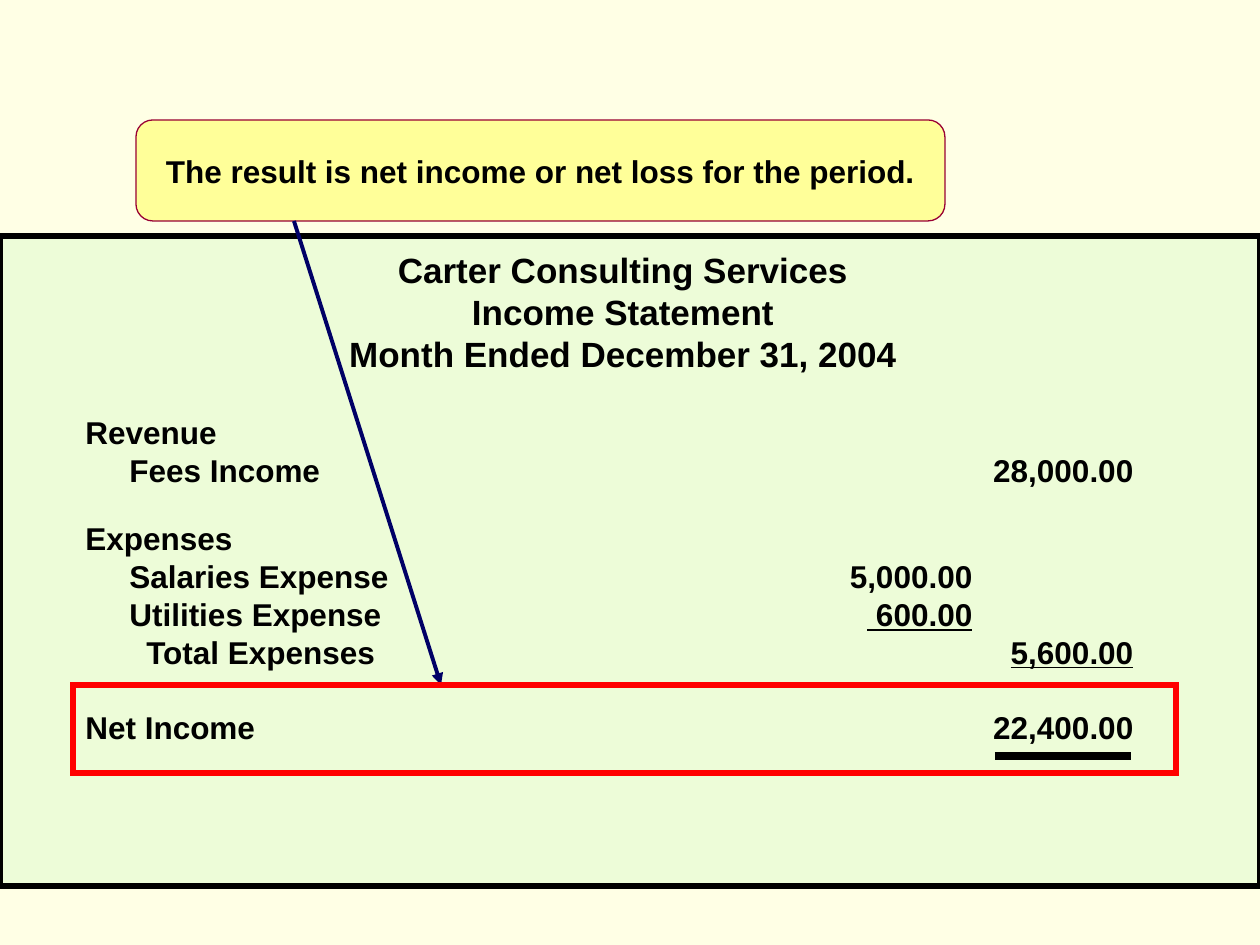
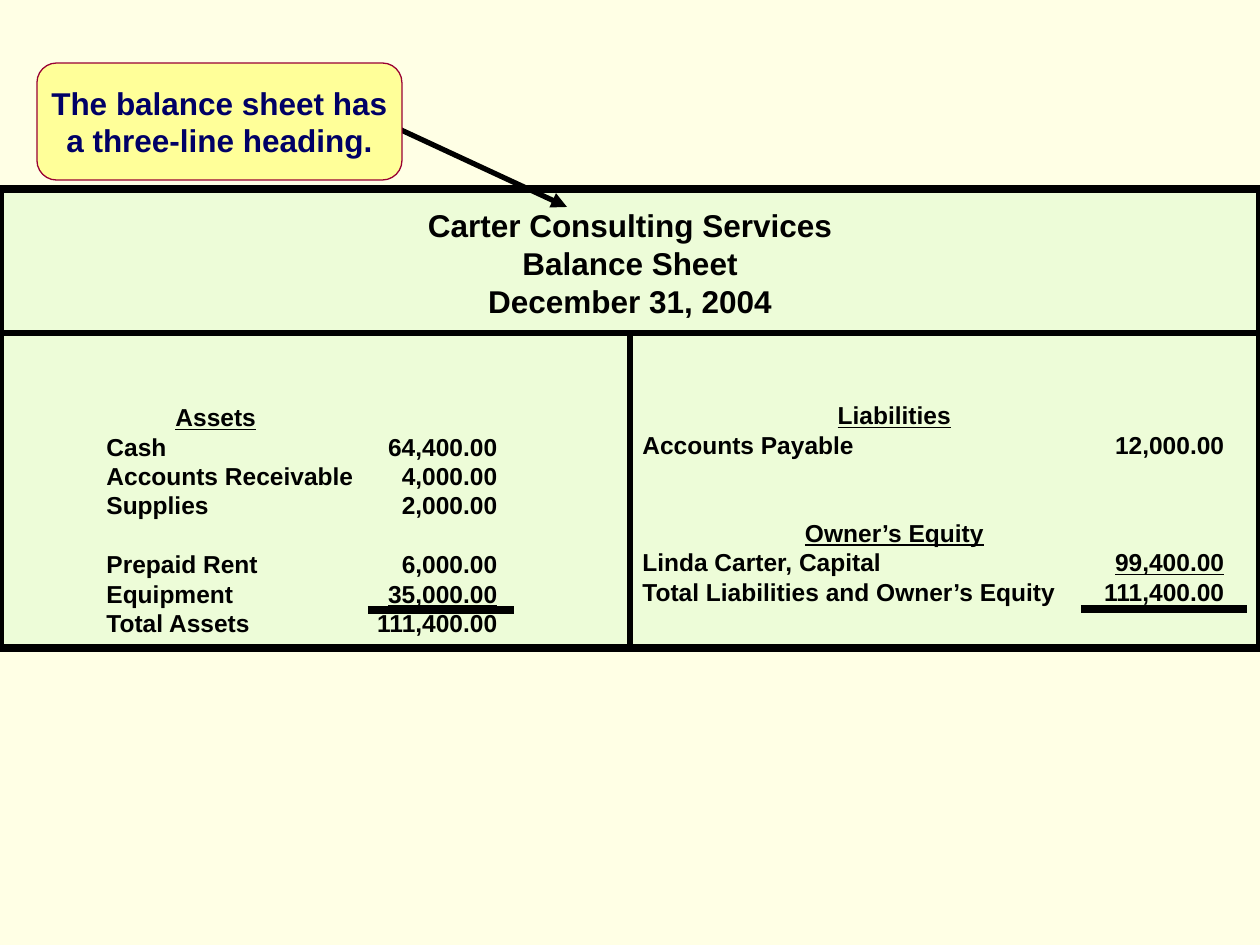
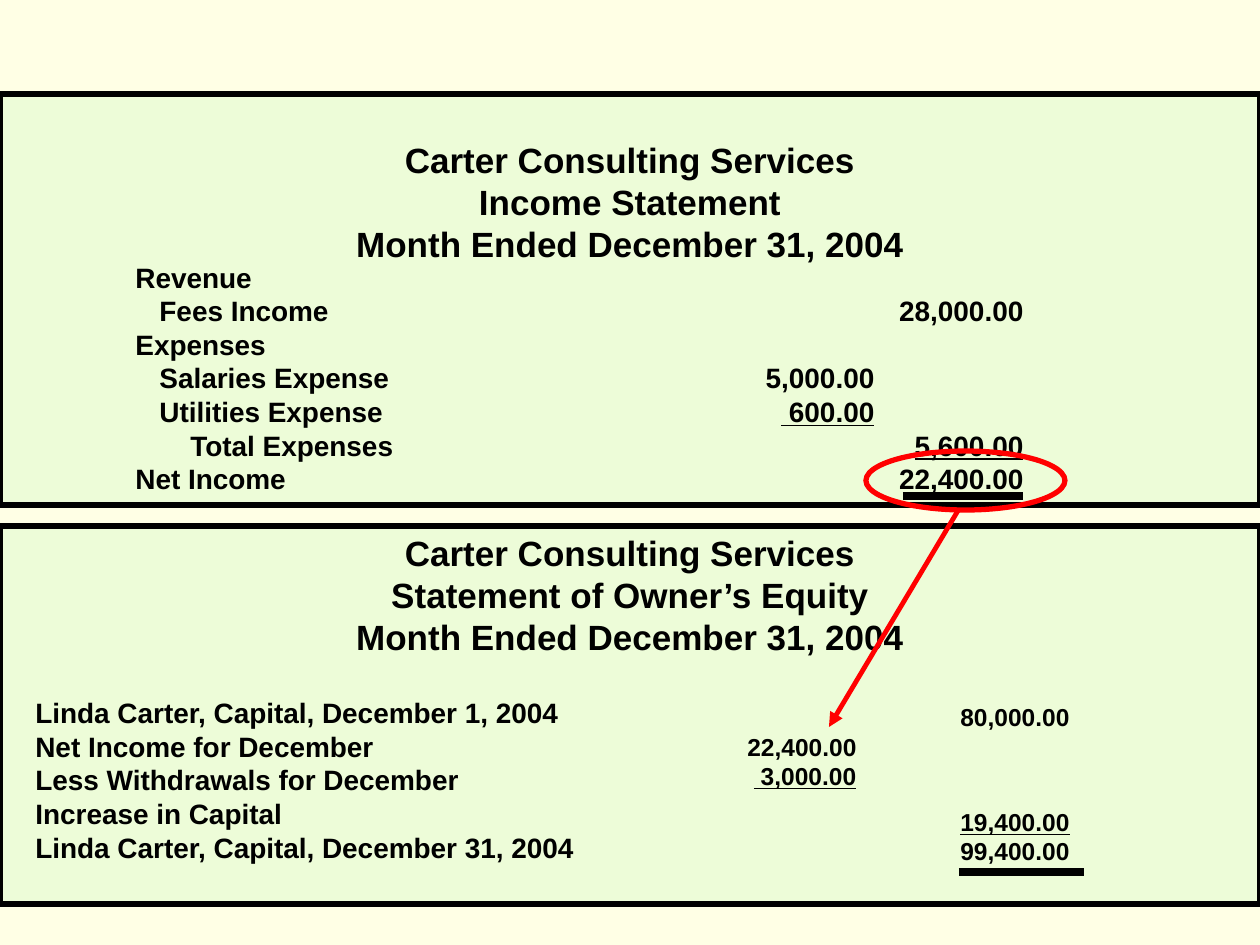
from typing import NamedTuple

from lxml.etree import SubElement
from pptx import Presentation
from pptx.dml.color import RGBColor
from pptx.enum.shapes import MSO_CONNECTOR as Link, MSO_SHAPE as Form
from pptx.enum.text import MSO_ANCHOR as Anchor, PP_ALIGN as Align
from pptx.oxml.ns import qn
from pptx.util import Emu, Pt

CREAM = RGBColor(0xFF, 0xFF, 0xE5)
MINT = RGBColor(0xED, 0xFC, 0xD8)
YELLOW = RGBColor(0xFF, 0xFF, 0x99)
WINE = RGBColor(0x99, 0x00, 0x33)
NAVY = RGBColor(0x00, 0x00, 0x66)
RED = RGBColor(0xFF, 0x00, 0x00)
BLACK = RGBColor(0x00, 0x00, 0x00)

FONT = "Arial"
SCALE = 914400 / 126
WIDE, HIGH = 1260, 945
INSET = 13
UNDER = "_"
BOTTOM = 2


class Row(NamedTuple):
    text: str
    before: float = 0
    tabs: tuple = ()


FIRM = "Carter Consulting Services"
MONTH = "Month Ended December 31, 2004"
INCOME_HEAD = (FIRM, "Income Statement", MONTH)
BALANCE_HEAD = (FIRM, "Balance Sheet", "December 31, 2004")
EQUITY_HEAD = (FIRM, "Statement of Owner’s Equity", MONTH)

REVENUE = ("Revenue", "\tFees Income\t\t28,000.00")
EXPENSES = (
    "Expenses",
    "\tSalaries Expense\t5,000.00",
    "\tUtilities Expense\t_ 600.00_",
    "\t\tTotal Expenses\t\t_5,600.00_",
)
PROFIT = ("Net Income\t\t22,400.00",)
CAPITAL = (
    Row("Linda Carter, Capital, December 1, 2004", before=21.6),
    "Net Income for December",
    "Less Withdrawals for December",
    "Increase in Capital",
    "Linda Carter, Capital, December 31, 2004",
)


def px(value):
    return Emu(round(value * SCALE))


def stops(left, starts=(), mids=(), ends=()):
    kinds = (("l", starts), ("ctr", mids), ("r", ends))
    return tuple((x - left - INSET, kind) for kind, places in kinds for x in places)


def set_tabs(para, tabs):
    if tabs:
        group = SubElement(para._p.get_or_add_pPr(), qn("a:tabLst"))
        for place, kind in tabs:
            SubElement(group, qn("a:tab"), pos=str(px(place)), algn=kind)


def write(frame, rows, size=18, color=BLACK, align=Align.LEFT, tabs=(), indent=0):
    for item in rows:
        row = item if isinstance(item, Row) else Row(item)
        first = frame.paragraphs[0]
        para = frame.add_paragraph() if first.runs else first
        para.alignment = align
        if indent:
            para._p.get_or_add_pPr().set("marL", str(px(indent)))
        if row.before:
            para.space_before = Pt(row.before)
        set_tabs(para, row.tabs or tabs)
        for index, part in enumerate(row.text.split(UNDER)):
            if part:
                run = para.add_run()
                run.text = part
                font = run.font
                font.name, font.size, font.bold = FONT, Pt(size), True
                font.underline = index % 2 == 1
                font.color.rgb = color


def text(slide, box, rows, **style):
    frame = slide.shapes.add_textbox(*map(px, box)).text_frame
    frame.word_wrap = True
    write(frame, rows, **style)


def shape(slide, form, box, fill=None, line=None, weight=3):
    item = slide.shapes.add_shape(form, *map(px, box))
    item.shadow.inherit = False
    if fill is None:
        item.fill.background()
    else:
        item.fill.solid()
        item.fill.fore_color.rgb = fill
    if line is None:
        item.line.fill.background()
    else:
        item.line.color.rgb = line
        item.line.width = Pt(weight)
        SubElement(item.line._get_or_add_ln(), qn("a:miter"), lim="800000")
    item.text_frame.vertical_anchor = Anchor.TOP
    return item


def panel(slide, top, height, weight=3):
    return shape(slide, Form.RECTANGLE, (0, top, WIDE, height), MINT, BLACK, weight)


def titled(slide, top, height, head, margin=6):
    frame = panel(slide, top, height).text_frame
    frame.margin_top = px(margin)
    write(frame, head, size=20, align=Align.CENTER)
    return frame


def callout(slide, box, rows, color=BLACK):
    frame = shape(slide, Form.ROUNDED_RECTANGLE, box, YELLOW, WINE, 0.75).text_frame
    frame.vertical_anchor = Anchor.MIDDLE
    frame.word_wrap = False
    write(frame, rows, color=color, align=Align.CENTER)


def figures(slide, box, end, rows, margin=6):
    frame = shape(slide, Form.RECTANGLE, box, MINT).text_frame
    frame.margin_top = px(margin)
    write(frame, rows, size=14, tabs=stops(box[0], ends=(end,)))


def line(slide, start, end, color=BLACK, weight=3, arrow=False):
    item = slide.shapes.add_connector(Link.STRAIGHT, *map(px, start + end))
    item.line.color.rgb = color
    item.line.width = Pt(weight)
    if arrow:
        SubElement(item.line._get_or_add_ln(), qn("a:tailEnd"), type="triangle")
    SubElement(item._element.spPr, qn("a:effectLst"))
    return item


def total_bar(slide, left, right, y):
    line(slide, (left, y), (right, y), weight=4.5)


def income(slide):
    panel(slide, 236, 650)
    left = 73
    tabs = stops(left, starts=(130, 147), ends=(973, 1134))
    for top, height, rows in ((407, 88, REVENUE), (513, 164, EXPENSES), (702, 50, PROFIT)):
        text(slide, (left, top, 1134, height), rows, tabs=tabs)
    total_bar(slide, 995, 1131, 756)
    text(slide, (49, 242, 1148, 140), INCOME_HEAD, size=20, align=Align.CENTER)
    callout(slide, (136, 120, 809, 101),
            ("The result is net income or net loss for the period.",))
    line(slide, (294, 221), (441, 685), NAVY, 2.25, arrow=True)
    shape(slide, Form.RECTANGLE, (left, 685, 1103, 88), line=RED)


def balance(slide):
    top, height, split, half = 189, 459, 333, WIDE // 2
    sheet = panel(slide, top, height, 4.5)
    line(slide, (0, split), (WIDE, split))
    divider = line(slide, (half, split), (half, top + height))
    divider.end_connect(sheet, BOTTOM)

    left = 94
    text(slide, (left, 396, half - left, 250), (
        Row("\t_Assets_", tabs=stops(left, starts=(176,))),
        "Cash\t64,400.00",
        "Accounts Receivable\t4,000.00",
        "Supplies\t2,000.00",
        Row("Prepaid Rent\t6,000.00", before=16.8),
        "Equipment\t_35,000.00_",
        "Total Assets\t111,400.00",
    ), size=14, tabs=stops(left, ends=(498,)))
    total_bar(slide, 368, 514, 610)

    middle = stops(half, mids=(895,))
    text(slide, (half, 394, half, 250), (
        Row("\t_Liabilities_", tabs=middle),
        "Accounts Payable\t12,000.00",
        Row("\t_Owner’s Equity_", before=33.6, tabs=middle),
        "Linda Carter, Capital\t_99,400.00_",
        "Total Liabilities and Owner’s Equity\t111,400.00",
    ), size=14, tabs=stops(half, ends=(1225,)))
    total_bar(slide, 1081, 1247, 609)

    text(slide, (210, 200, 840, 126), BALANCE_HEAD, align=Align.CENTER)
    line(slide, (399, 129), (567, 207), arrow=True)
    callout(slide, (37, 63, 365, 117),
            ("The balance sheet has", "a three-line heading."), NAVY)


def equity(slide):
    titled(slide, 94, 411, INCOME_HEAD, margin=44)
    left = 123
    text(slide, (left, 254, 979, 250), REVENUE + EXPENSES + PROFIT, size=16,
         tabs=stops(left, starts=(160, 191), ends=(875, 1024)))
    total_bar(slide, 903, 1023, 496)

    frame = titled(slide, 526, 378, EQUITY_HEAD)
    write(frame, CAPITAL, size=16, indent=23)
    figures(slide, (735, 696, 164, 101), 857,
            ("\t22,400.00", "\t_ 3,000.00_"), margin=36)
    figures(slide, (948, 696, 164, 176), 1069,
            ("\t80,000.00", Row("\t_19,400.00_", before=43.2), "\t99,400.00"))
    total_bar(slide, 959, 1084, 872)
    line(slide, (959, 509), (829, 727), RED, 2.75, arrow=True)
    shape(slide, Form.OVAL, (866, 451, 199, 59), line=RED)


def main():
    deck = Presentation()
    deck.slide_width, deck.slide_height = px(WIDE), px(HIGH)
    back = deck.slide_master.background.fill
    back.solid()
    back.fore_color.rgb = CREAM
    for build in (income, balance, equity):
        build(deck.slides.add_slide(deck.slide_layouts[6]))
    deck.save("out.pptx")


if __name__ == "__main__":
    main()
